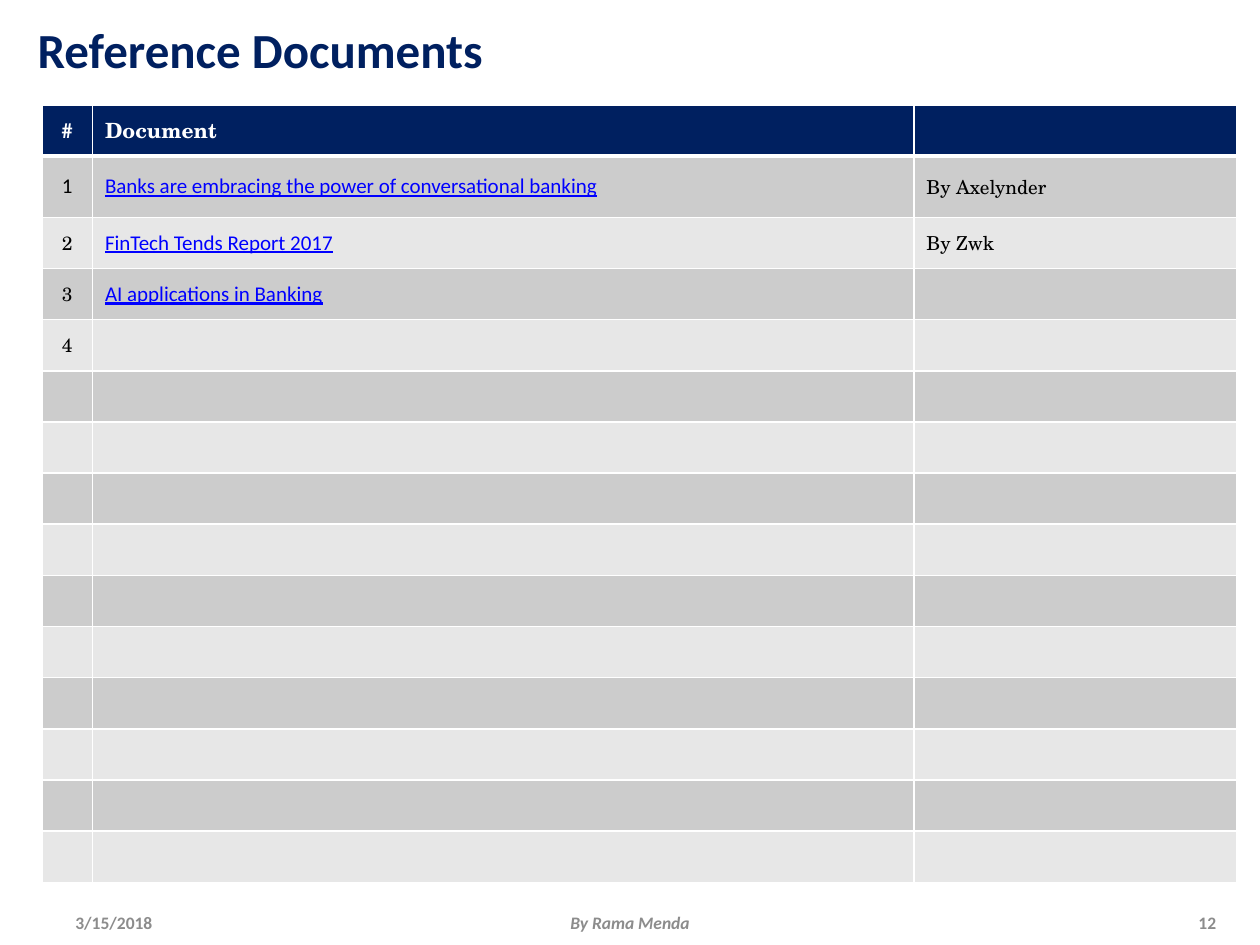
from dataclasses import dataclass

from lxml.etree import SubElement
from pptx import Presentation
from pptx.dml.color import RGBColor
from pptx.enum.text import MSO_ANCHOR, PP_ALIGN
from pptx.oxml.ns import qn
from pptx.slide import Slide
from pptx.util import Pt

SERIF = "TeX Gyre Schola"
LEFT, CENTER, RIGHT = PP_ALIGN.LEFT, PP_ALIGN.CENTER, PP_ALIGN.RIGHT
ROW_COUNT = 15
COLUMN_WIDTHS = (28.8, 469.4, 184.4)
HEADER = ("#", "Document", "")
DOCUMENTS = (
    ("1", "Banks are embracing the power of conversational banking", "By Axelynder"),
    ("2", "FinTech Tends Report 2017", "By Zwk"),
    ("3", "AI applications in Banking", ""),
    ("4", "", ""),
)


def color(value):
    return RGBColor.from_string(value)


@dataclass
class ReferencePage:
    """Holds the style and the slide, and draws each kind of element."""

    page: Slide
    font: str = "Calibri"
    navy: str = "002060"
    gray: str = "8C8C8C"
    white: str = "FFFFFF"
    black: str = "000000"
    link: str = "0000FF"
    bands: tuple = ("CCCCCC", "E7E7E7")

    def paragraph(self, para, text, size, tint, font=None, align=LEFT,
                  bold=False, italic=False, underline=False):
        para.text = text
        para.alignment = align
        for span in para.runs:
            span.font.name = font or self.font
            span.font.size = Pt(size)
            span.font.color.rgb = color(tint)
            span.font.bold = bold
            span.font.italic = italic
            span.font.underline = underline

    def text(self, bounds, text, size, tint, **style):
        box = self.page.shapes.add_textbox(*map(Pt, bounds))
        frame = box.text_frame
        frame.word_wrap = True
        frame.vertical_anchor = MSO_ANCHOR.MIDDLE
        frame.margin_top = frame.margin_bottom = 0
        self.paragraph(frame.paragraphs[0], text, size, tint, **style)

    def borders(self, cell, bottom):
        properties = cell._tc.get_or_add_tcPr()
        for index, (side, width) in enumerate(
                (("L", 1), ("R", 1), ("T", 1), ("B", bottom))):
            line = properties.makeelement(qn(f"a:ln{side}"), {"w": str(Pt(width))})
            fill = SubElement(line, qn("a:solidFill"))
            SubElement(fill, qn("a:srgbClr"), val=self.white)
            properties.insert(index, line)

    def cell_style(self, row, column):
        align = CENTER if column == 0 else LEFT
        if row == 0:
            return dict(size=12, tint=self.white, font=SERIF, bold=True, align=align)
        if column == 1:
            return dict(size=12, tint=self.link, underline=True)
        if (row, column) == (1, 0):
            return dict(size=12, tint=self.black, align=align)
        return dict(size=11, tint=self.black, font=SERIF, align=align)

    def table(self, left, top, widths, heights, rows):
        grid = self.page.shapes.add_table(
            len(heights), len(widths), Pt(left), Pt(top),
            Pt(sum(widths)), Pt(sum(heights))).table
        for column, width in zip(grid.columns, widths):
            column.width = Pt(width)
        for row, height in enumerate(heights):
            grid.rows[row].height = Pt(height)
            for column in range(len(widths)):
                cell = grid.cell(row, column)
                cell.vertical_anchor = MSO_ANCHOR.MIDDLE
                cell.margin_top = cell.margin_bottom = 0
                cell.fill.solid()
                fill = self.bands[(row - 1) % 2] if row else self.navy
                cell.fill.fore_color.rgb = color(fill)
                self.borders(cell, bottom=1 if row else 3)
                if row < len(rows) and rows[row][column]:
                    self.paragraph(cell.text_frame.paragraphs[0], rows[row][column],
                                   **self.cell_style(row, column))


def main():
    deck = Presentation()
    deck.slide_width, deck.slide_height = Pt(720), Pt(540)
    sheet = ReferencePage(deck.slides.add_slide(deck.slide_layouts[6]))

    heights = [29.23] * ROW_COUNT
    heights[1] = 35
    sheet.table(24, 60, COLUMN_WIDTHS, heights, (HEADER, *DOCUMENTS))
    sheet.text((14.4, 3, 687.6, 49.7), "Reference Documents", 28, sheet.navy, bold=True)
    for left, width, text, align, italic in (
            (36, 168, "3/15/2018", LEFT, False),
            (666, 36, "12", RIGHT, False),
            (246, 228, "By Rama Menda", CENTER, True)):
        sheet.text((left, 522, width, 10.8), text, 10, sheet.gray,
                   align=align, bold=True, italic=italic)

    deck.save("out.pptx")


if __name__ == "__main__":
    main()
